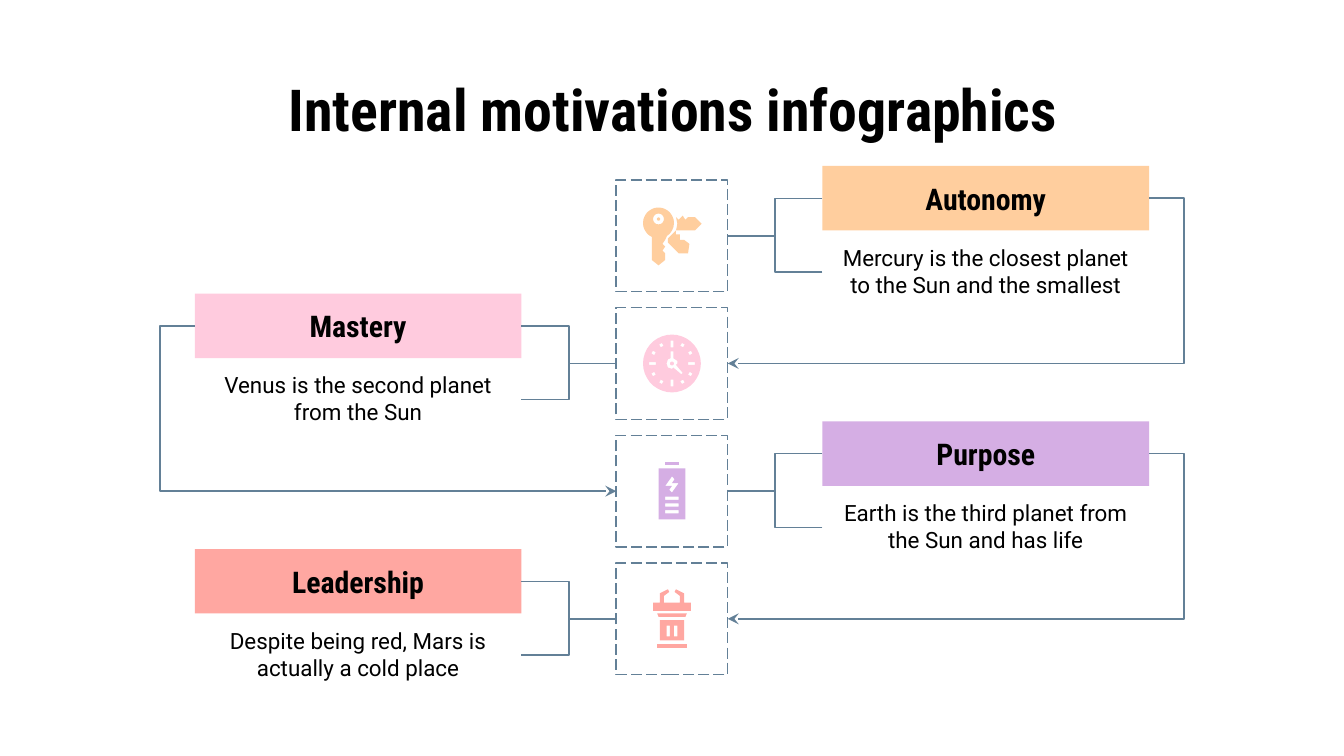
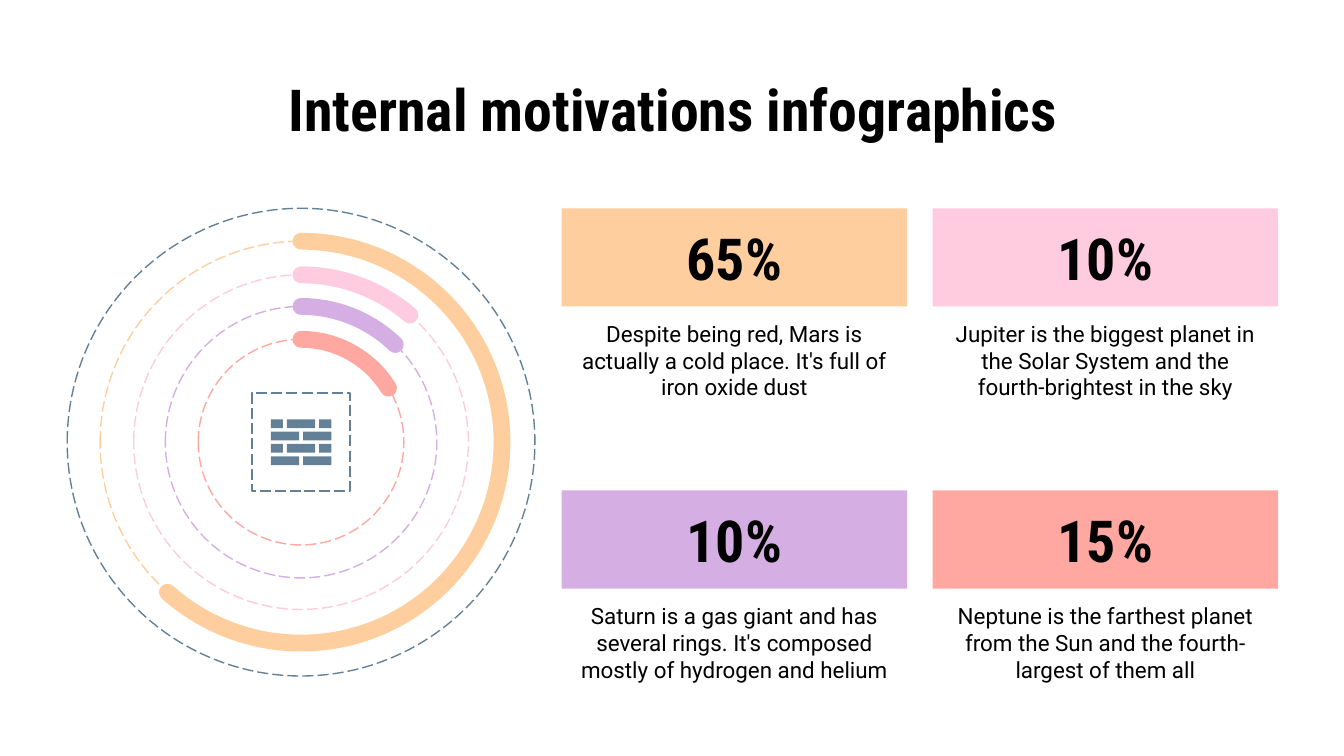
from math import cos, radians, sin

from lxml import etree
from pptx import Presentation
from pptx.dml.color import RGBColor
from pptx.enum.dml import MSO_LINE
from pptx.enum.shapes import MSO_CONNECTOR, MSO_SHAPE
from pptx.enum.text import MSO_ANCHOR, MSO_AUTO_SIZE, PP_ALIGN
from pptx.oxml.ns import qn
from pptx.util import Inches, Pt

LONG_DASH = MSO_LINE.LONG_DASH
ELBOW = MSO_CONNECTOR.ELBOW
RECTANGLE, OVAL, ARC = MSO_SHAPE.RECTANGLE, MSO_SHAPE.OVAL, MSO_SHAPE.ARC
TOP, MIDDLE = MSO_ANCHOR.TOP, MSO_ANCHOR.MIDDLE
NO_FIT = MSO_AUTO_SIZE.NONE
CENTER = PP_ALIGN.CENTER

COLORS = {
    "ink": "000000",
    "paper": "FFFFFF",
    "slate": "638097",
    "peach": "FFCE9E",
    "pink": "FFCBDE",
    "lilac": "D5AEE4",
    "coral": "FFA7A1",
}
FORMATS = {
    "title": {"name": "Roboto Condensed", "size": Pt(31), "bold": True},
    "heading": {"name": "Roboto Condensed", "size": Pt(16), "bold": True},
    "caption": {"name": "Roboto", "size": Pt(12), "bold": False},
}
TITLE = "Internal motivations infographics"
TITLE_BOX = (0.5, 0.45, 9.01, 0.62)
MOTIVES = [
    ("Autonomy", "Mercury is the closest planet to the Sun and the smallest", "peach"),
    ("Mastery", "Venus is the second planet from the Sun", "pink"),
    ("Purpose", "Earth is the third planet from the Sun and has life", "lilac"),
    ("Leadership", "Despite being red, Mars is actually a cold place", "coral"),
]
SHARES = [
    ("65%", "Despite being red, Mars is actually a cold place. It's full of iron oxide dust", "peach"),
    ("10%", "Jupiter is the biggest planet in the Solar System and the fourth-brightest in the sky", "pink"),
    ("10%", "Saturn is a gas giant and has several rings. It's composed mostly of hydrogen and helium", "lilac"),
    ("15%", "Neptune is the farthest planet from the Sun and the fourth-largest of them all", "coral"),
]
RINGS = [("peach", 2.99, 131.69), ("pink", 2.49, 310.58), ("lilac", 2.02, 314), ("coral", 1.53, 328.33)]


def color(name):
    return RGBColor.from_string(COLORS[name])


def inches(*lengths):
    return [Inches(length) for length in lengths]


def write(shape, text, style, anchor):
    frame = shape.text_frame
    settings = {"word_wrap": True, "auto_size": NO_FIT, "vertical_anchor": anchor}
    settings.update({f"margin_{side}": Inches(0.1) for side in ("left", "top", "right", "bottom")})
    for key, value in settings.items():
        setattr(frame, key, value)
    para = frame.paragraphs[0]
    para.alignment = CENTER
    span = para.add_run()
    span.text = text
    for key, value in FORMATS[style].items():
        setattr(span.font, key, value)
    span.font.color.rgb = color("ink")


def paint(shape, fill=None, line=None, width=0.75, dash=None):
    shape.shadow.inherit = False
    if fill:
        shape.fill.solid()
        shape.fill.fore_color.rgb = color(fill)
    else:
        shape.fill.background()
    if line:
        shape.line.color.rgb = color(line)
        shape.line.width = Pt(width)
        shape.line.dash_style = dash
    else:
        shape.line.fill.background()


def add_outline(page, kind, box, line, fill=None):
    shape = page.shapes.add_shape(kind, *inches(*box))
    paint(shape, fill, line, dash=LONG_DASH)


def add_card(page, box, bar_height, caption_height, content, style):
    left, top, width = box
    heading, caption, fill = content
    note = page.shapes.add_textbox(*inches(left, top + bar_height, width, caption_height))
    write(note, caption, "caption", TOP)
    bar = page.shapes.add_shape(RECTANGLE, *inches(left, top, width, bar_height))
    paint(bar, fill)
    write(bar, heading, style, MIDDLE)


def add_elbow(page, start, end, bend=0.5, arrow=False):
    elbow = page.shapes.add_connector(ELBOW, *inches(*start, *end))
    elbow.line.color.rgb = color("slate")
    elbow.line.width = Pt(0.75)
    properties = elbow.element.spPr
    guides = properties.find(qn("a:prstGeom")).find(qn("a:avLst"))
    etree.SubElement(guides, qn("a:gd"), name="adj1", fmla=f"val {round(bend * 100000)}")
    if arrow:
        etree.SubElement(elbow.line._get_or_add_ln(), qn("a:tailEnd"), type="stealth")
    etree.SubElement(properties, qn("a:effectLst"))


def rect(left, top, right, bottom):
    return [(left, top), (right, top), (right, bottom), (left, bottom)]


def arc_points(x, y, radius, start=0, end=350):
    return [
        (x + radius * cos(radians(angle)), y + radius * sin(radians(angle)))
        for angle in range(start, end + 1, 10)
    ]


def clock_tick(angle, inner, half_width):
    turn = radians(angle)
    return [
        (x * cos(turn) - y * sin(turn), x * sin(turn) + y * cos(turn))
        for x, y in rect(inner, -half_width, 17, half_width)
    ]


def key_icon():
    shaft = [(-5, 3), (-7, 6), (-5, 8), (-7, 11), (-5, 13), (-5, 18), (-10, 22), (-15, 18)]
    lower = [(3, -4), (-3, 2), (-3, 5), (5, 13), (12, 13), (13, 6), (9, 3), (6, 3), (6, -1), (3, -1)]
    upper = [(8, -15), (5, -12), (3, -14), (4, -9), (3, -4), (17, -4), (22, -9), (17, -14), (12, -14), (10, -12)]
    return [
        [arc_points(-10, -9.5, 11.5, 116, 424) + shaft, arc_points(-10, -12.5, 4)],
        [arc_points(-10, -12.5, 1.2)],
        [lower],
        [upper],
    ]


def clock_icon():
    hands = [(-1, -9), (1, -9), (1, -4), (4, -2), (4, 0), (3, 1), (8, 7),
             (7, 8), (1, 3), (0, 4), (-3, 3), (-4, 0), (-3, -3), (-1, -4)]
    ticks = [
        clock_tick(angle, 12, 1) if angle % 90 == 0 else clock_tick(angle, 14.5, 1.2)
        for angle in range(0, 360, 30)
    ]
    return [[arc_points(0, 0, 21.5), hands, *ticks], [arc_points(0, 0, 1.4)]]


def battery_icon():
    bolt = [(0, -11), (2, -9), (0, -6), (5, -6), (0, 1), (-2, -1), (0, -4), (-5, -4)]
    bars = [rect(-5, top, 5, top + 2.5) for top in (4, 9, 14)]
    return [[rect(-10, -17, 10, 21), bolt, *bars], [rect(-5, -22, 5, -19.5)]]


def lectern_icon():
    half = [(-2, -20), (-3, -22), (-9, -19), (-9, -12), (-14, -12), (-14, -6)]
    inner = [(6, -17), (6, -12), (-6, -12), (-6, -17)]
    desk = half + [(-x, y) for x, y in reversed(half)] + inner
    return [
        [desk],
        [[(-11, -4), (-10, -1.5), (10, -1.5), (11, -4)]],
        [rect(-9, 1, 9, 16), rect(-4, 5, -1.5, 13), rect(1.5, 5, 4, 13)],
        [rect(-11, 19, 11, 21.5)],
    ]


def wall_icon():
    courses = [[(-22.5, -13.5), (-10.5, 10.5), (13.5, 22.5)], [(-22.5, -1.5), (1.5, 22.5)]]
    return [[
        rect(left, -17 + 9.2 * row, right, -10.5 + 9.2 * row)
        for row in range(4)
        for left, right in courses[row % 2]
    ]]


def add_icon(page, center, parts, fill):
    for contours in parts:
        scaled = [[(x * 10, y * 10) for x, y in contour] for contour in contours]
        builder = page.shapes.build_freeform(*scaled[0][0], scale=Inches(1) / 1000)
        builder.add_line_segments(scaled[0][1:], close=True)
        for contour in scaled[1:]:
            builder.move_to(*contour[0])
            builder.add_line_segments(contour[1:], close=True)
        paint(builder.convert_to_shape(*inches(*center)), fill)


def add_page(deck):
    page = deck.slides.add_slide(deck.slide_layouts[5])
    title = page.shapes.title
    title.left, title.top, title.width, title.height = inches(*TITLE_BOX)
    write(title, TITLE, "title", TOP)
    return page


def add_motive(page, center, content, icon, direction, has_next):
    middle, level = center
    card_width, half_tile, pitch = 2.43, 0.415, 0.95
    near, far = middle + direction * 1.12, middle + direction * 3.55
    top = level - 0.52
    add_card(page, (min(near, far), top, card_width), 0.48, 0.62, content, "heading")
    add_outline(page, RECTANGLE, (middle - half_tile, level - half_tile, 0.83, 0.83), "slate", "paper")
    tile_edge = middle + direction * half_tile
    for height in (top + 0.24, top + 0.79):
        add_elbow(page, (near, height), (tile_edge, level))
    if has_next:
        add_elbow(page, (far, top + 0.24), (tile_edge, level + pitch), -0.083, True)
    add_icon(page, center, icon, content[2])


def add_motive_flow(page, middle, first_level):
    icons = [key_icon(), clock_icon(), battery_icon(), lectern_icon()]
    for row, (content, icon) in enumerate(zip(MOTIVES, icons)):
        direction = -1 if row % 2 else 1
        add_motive(page, (middle, first_level + 0.95 * row), content, icon, direction, row < len(MOTIVES) - 1)


def add_ring_chart(page, box):
    left, top, size = box
    x, y = left + size / 2, top + size / 2

    def centered(side):
        return x - side / 2, y - side / 2, side, side

    add_outline(page, OVAL, centered(size), "slate")
    for name, diameter, _ in RINGS:
        add_outline(page, OVAL, centered(diameter), name)
    for name, diameter, end in RINGS:
        band = page.shapes.add_shape(ARC, *inches(*centered(diameter)))
        band.adjustments[0] = 270 * 0.6
        band.adjustments[1] = end * 0.6
        paint(band, line=name, width=9)
        band.line._get_or_add_ln().set("cap", "rnd")
    add_outline(page, RECTANGLE, centered(0.73), "slate")
    add_icon(page, (x, y), wall_icon(), "slate")


def add_share_grid(page, left, top):
    for index, content in enumerate(SHARES):
        row, column = divmod(index, 2)
        add_card(page, (left + 2.76 * column, top + 2.1 * row, 2.57), 0.73, 0.78, content, "title")


def main():
    deck = Presentation()
    deck.slide_width = Inches(10)
    deck.slide_height = Inches(10) * 9 // 16
    add_motive_flow(add_page(deck), 5, 1.755)
    page = add_page(deck)
    add_ring_chart(page, (0.5, 1.55, 3.48))
    add_share_grid(page, 4.18, 1.55)
    deck.save("out.pptx")


if __name__ == "__main__":
    main()
